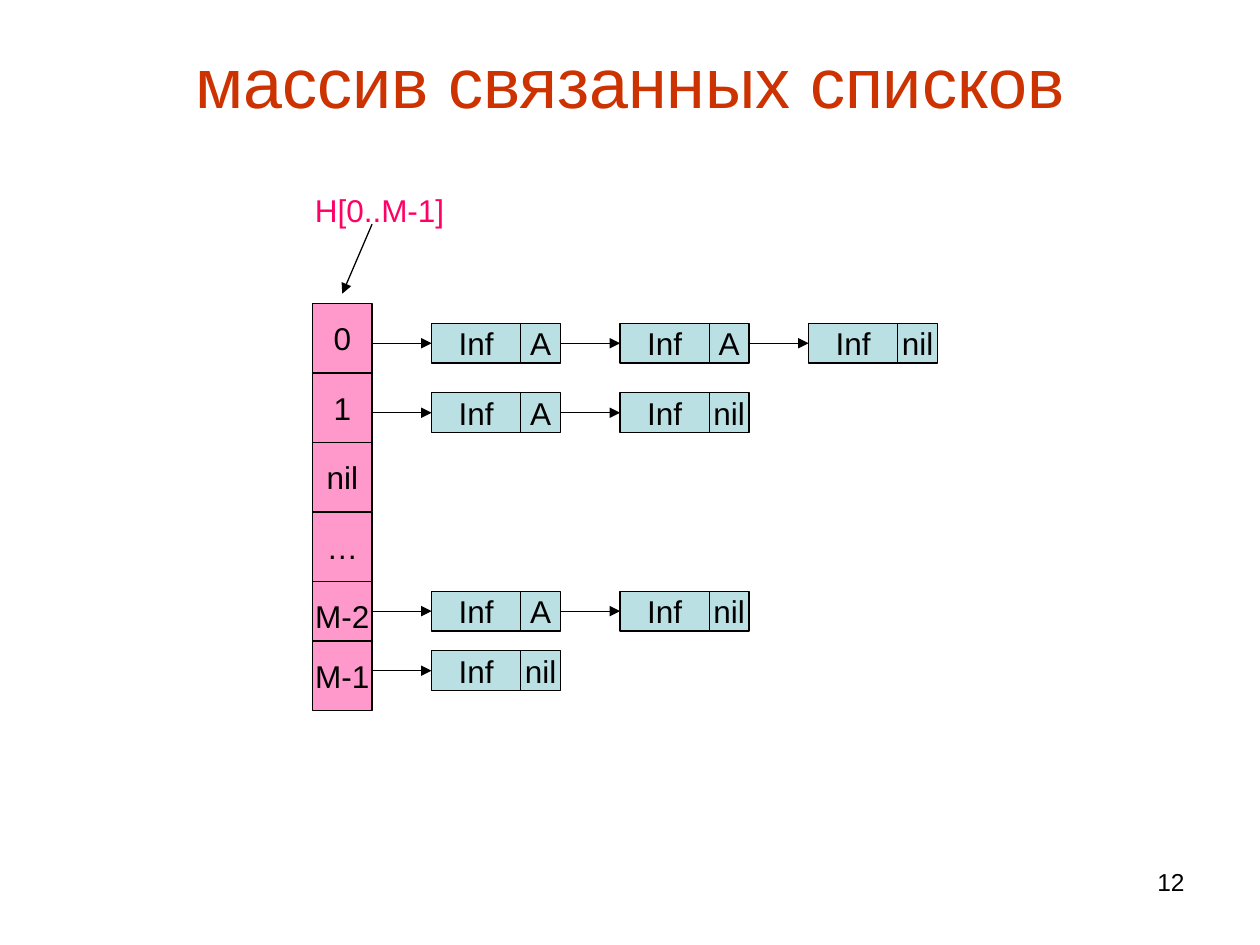
from typing import NamedTuple

from lxml.etree import SubElement
from pptx import Presentation
from pptx.dml.color import RGBColor
from pptx.enum.shapes import MSO_CONNECTOR, MSO_SHAPE
from pptx.enum.text import MSO_ANCHOR, PP_ALIGN
from pptx.oxml.ns import qn
from pptx.util import Inches, Mm, Pt

BLACK = RGBColor(0x00, 0x00, 0x00)
RED = RGBColor(0xCC, 0x33, 0x00)
CRIMSON = RGBColor(0xFF, 0x00, 0x66)
PINK = RGBColor(0xFF, 0x99, 0xCC)
TEAL = RGBColor(0xBB, 0xE0, 0xE3)

# Diagram lengths are counted in squares of a 2 mm grid.
UNIT = Mm(2)
LEFT, TOP = 31.5, 30.6
SLOT_W, SLOT_H = 6, 7
INF_W, LINK_W, NODE_H = 9, 4, 4
GAP = 6


class Box(NamedTuple):
    x: float
    y: float
    w: float
    h: float


class Slot(NamedTuple):
    text: str
    row: float
    nodes: int = 0
    port: float = 4


class Label(NamedTuple):
    text: str
    box: Box
    size: int
    color: RGBColor
    align: PP_ALIGN
    anchor: MSO_ANCHOR = MSO_ANCHOR.TOP


SLOTS = [
    Slot("0", 0, 3),
    Slot("1", 7, 2),
    Slot("nil", 14),
    Slot("…", 21),
    Slot("M-2", 28, 2, 3),
    Slot("M-1", 34, 1, 3),
]

# Label boxes are shares of the slide's width and height.
LABELS = [
    Label("массив связанных списков", Box(0.05, 0.04, 0.9, 0.09), 40, RED,
          PP_ALIGN.CENTER, MSO_ANCHOR.MIDDLE),
    Label("H[0..M-1]", Box(0.24, 0.196, 0.149, 0.053), 18, CRIMSON, PP_ALIGN.LEFT),
    Label("12", Box(0.717, 0.911, 0.233, 0.069), 14, BLACK, PP_ALIGN.RIGHT),
]


def grid(*units: float) -> list[int]:
    return [round(u * UNIT) for u in units]


def write(shape, text: str, size: int, color: RGBColor, align: PP_ALIGN,
          anchor: MSO_ANCHOR, wrap: bool) -> None:
    frame = shape.text_frame
    frame.word_wrap = wrap
    frame.vertical_anchor = anchor
    para = frame.paragraphs[0]
    para.text = text
    para.alignment = align
    for name, value in {"name": "Arial", "size": Pt(size)}.items():
        setattr(para.font, name, value)
    para.font.color.rgb = color


def cell(slide, text: str, box: Box, fill: RGBColor) -> None:
    shape = slide.shapes.add_shape(MSO_SHAPE.RECTANGLE, *grid(*box))
    shape.shadow.inherit = False
    shape.fill.solid()
    shape.fill.fore_color.rgb = fill
    shape.line.color.rgb = BLACK
    shape.line.width = Pt(0.75)
    write(shape, text, 18, BLACK, PP_ALIGN.CENTER, MSO_ANCHOR.MIDDLE, False)


def arrow(slide, x: float, y: float, to_x: float, to_y: float) -> None:
    wire = slide.shapes.add_connector(MSO_CONNECTOR.STRAIGHT, *grid(x, y, to_x, to_y))
    wire.line.color.rgb = BLACK
    wire.line.width = Pt(0.75)
    SubElement(wire.line._get_or_add_ln(), qn("a:tailEnd"), type="triangle")
    SubElement(wire._element.spPr, qn("a:effectLst"))


def chain(slide, count: int, y: float) -> None:
    """Draw linked nodes centred on y, each entered by an arrow."""
    x = LEFT + SLOT_W
    for i in range(count):
        arrow(slide, x, y, x + GAP, y)
        x += GAP
        top = y - NODE_H / 2
        cell(slide, "Inf", Box(x, top, INF_W, NODE_H), TEAL)
        link = "nil" if i == count - 1 else "A"
        cell(slide, link, Box(x + INF_W, top, LINK_W, NODE_H), TEAL)
        x += INF_W + LINK_W


def main() -> None:
    deck = Presentation()
    wide, high = deck.slide_width, deck.slide_height = Inches(10), Inches(7.5)
    slide = deck.slides.add_slide(deck.slide_layouts[6])

    for text, box, size, color, align, anchor in LABELS:
        area = [round(share * side) for share, side in zip(box, (wide, high) * 2)]
        write(slide.shapes.add_textbox(*area), text, size, color, align, anchor, True)

    for slot in SLOTS:
        cell(slide, slot.text, Box(LEFT, TOP + slot.row, SLOT_W, SLOT_H), PINK)
    for slot in SLOTS:
        chain(slide, slot.nodes, TOP + slot.row + slot.port)

    arrow(slide, LEFT + SLOT_W, TOP - 8, LEFT + SLOT_W / 2, TOP - 1)
    deck.save("out.pptx")


if __name__ == "__main__":
    main()
